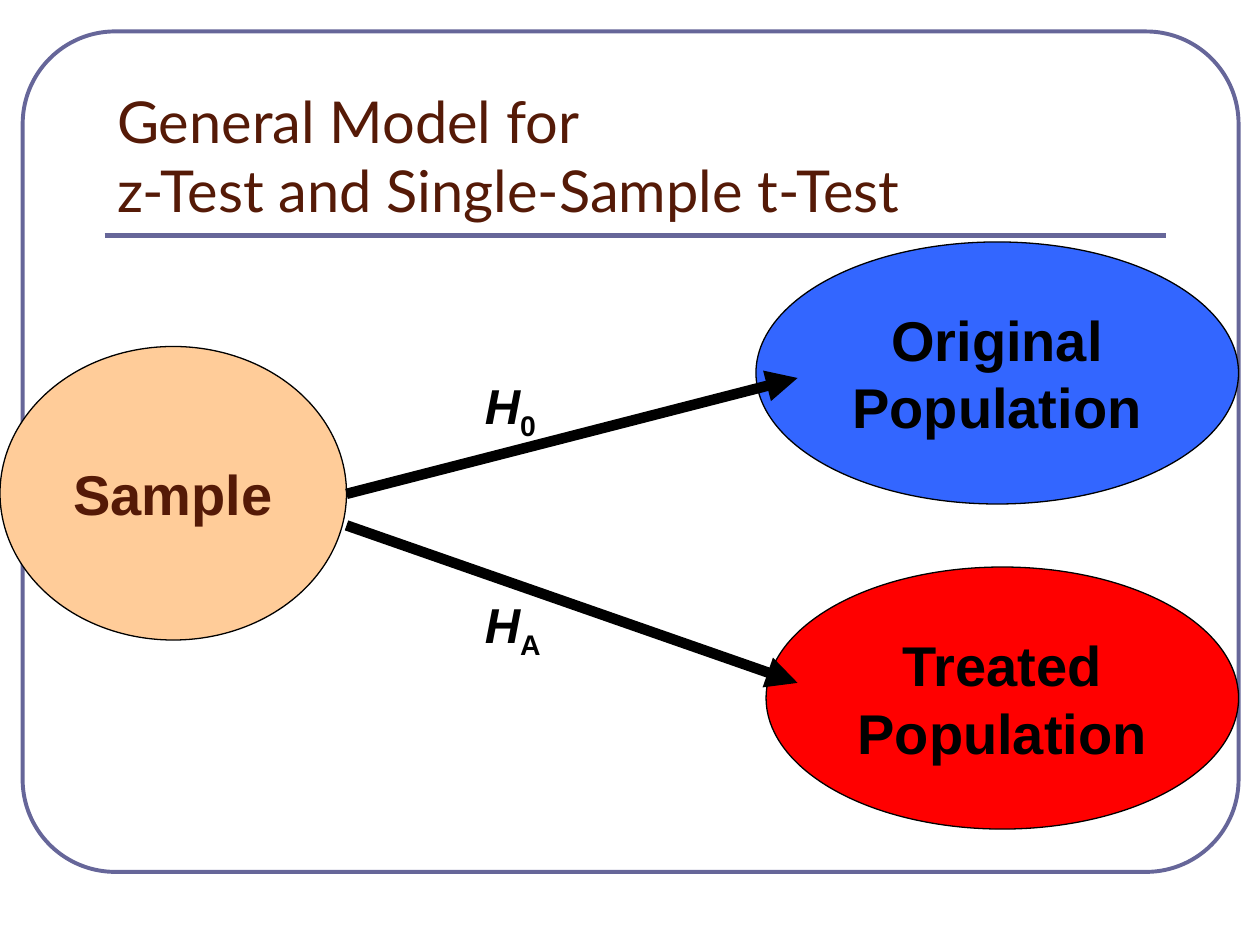
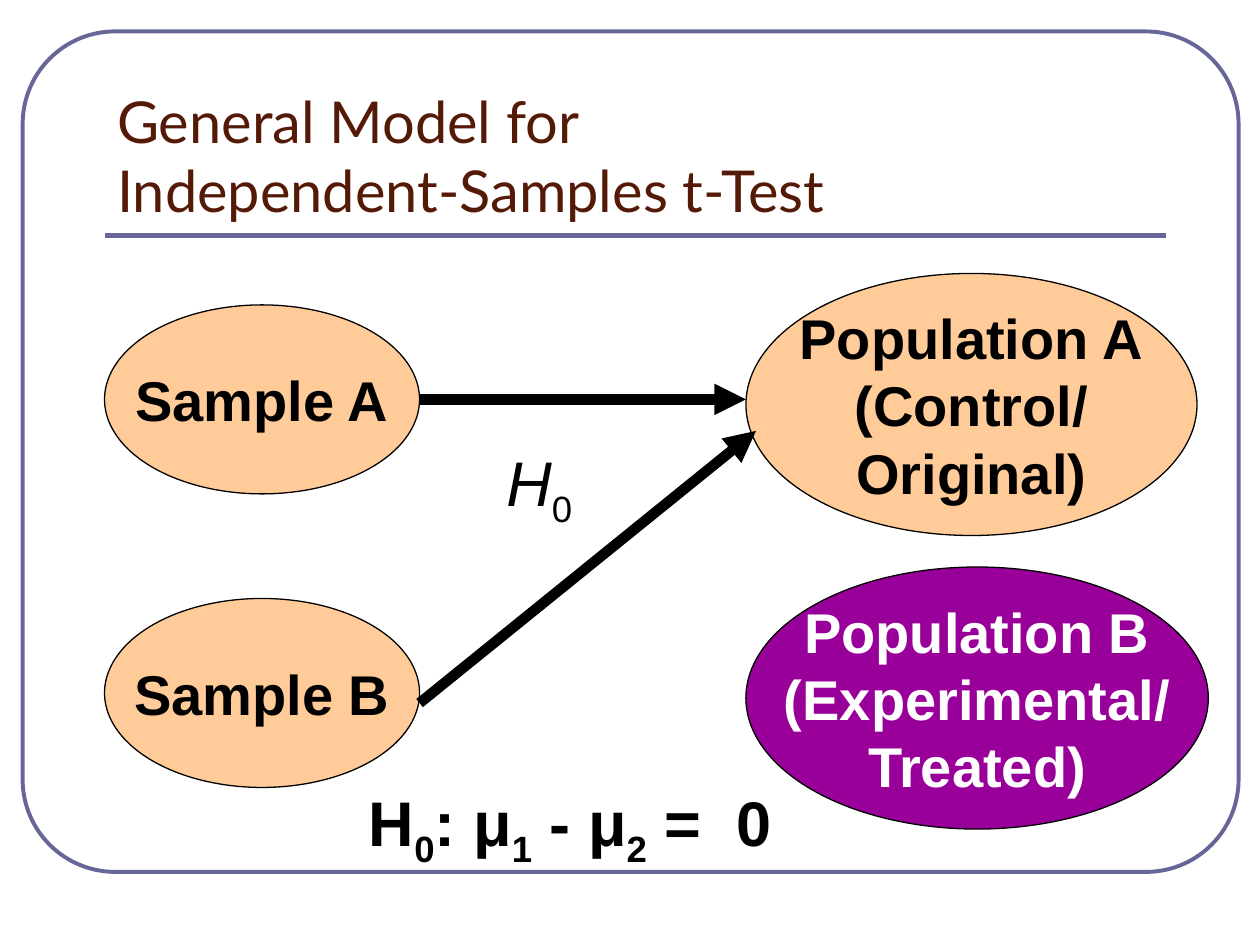
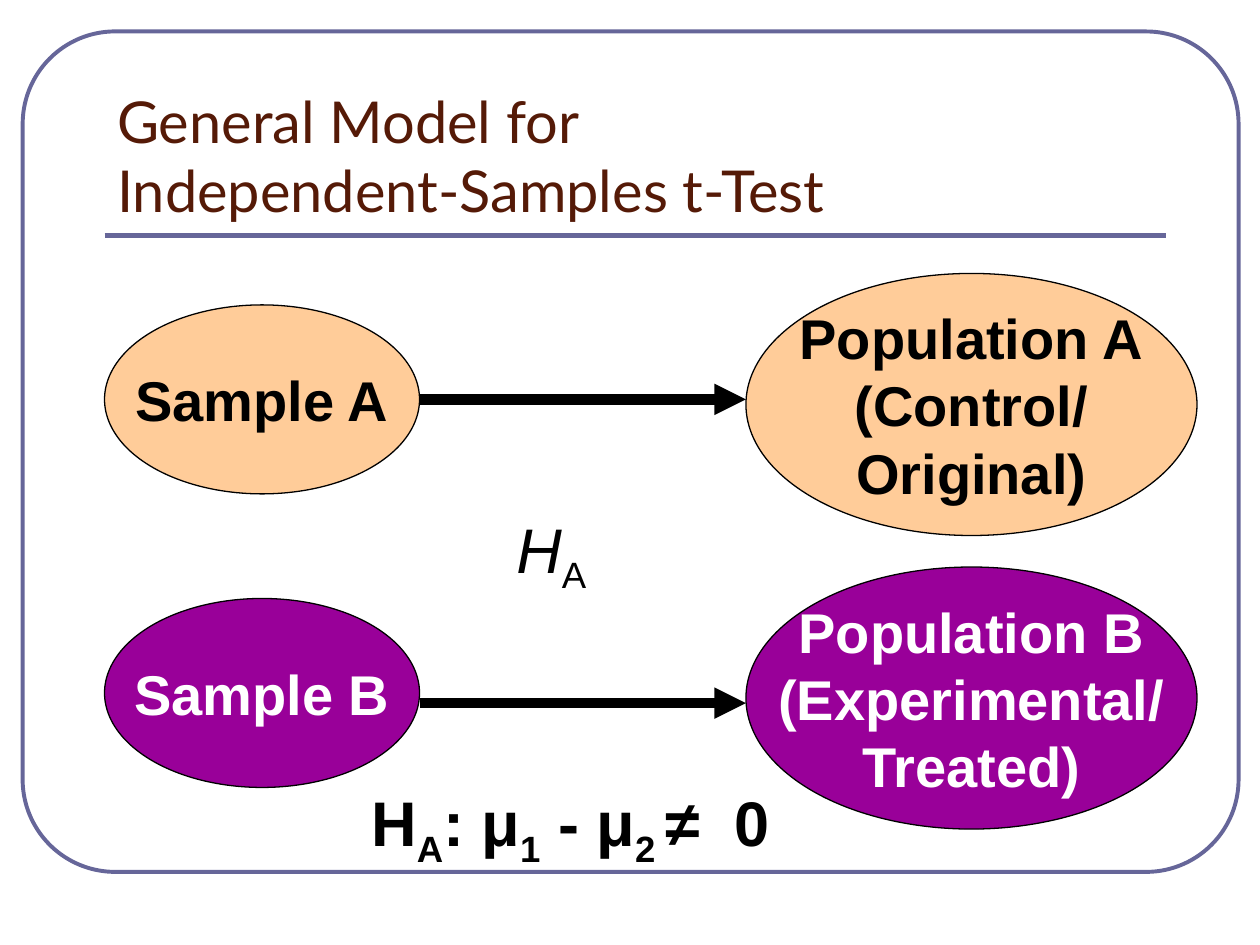
"""Build three slides on the general models behind z-tests and t-tests."""
import dataclasses

import lxml.etree
import pptx
import pptx.dml.color
import pptx.enum.shapes
import pptx.enum.text
import pptx.oxml.ns
import pptx.util

Inches = pptx.util.Inches
Pt = pptx.util.Pt
Align = pptx.enum.text.PP_ALIGN
Anchor = pptx.enum.text.MSO_ANCHOR
Shape = pptx.enum.shapes.MSO_SHAPE
qn = pptx.oxml.ns.qn


@dataclasses.dataclass(frozen=True)
class Theme:
    """Colours, fonts, type sizes and line widths of the deck."""
    ink: str = "000000"
    white: str = "FFFFFF"
    brown: str = "551A07"
    slate: str = "666699"
    peach: str = "FFCC99"
    blue: str = "3366FF"
    red: str = "FF0000"
    purple: str = "990099"
    head: str = "Lato"
    body: str = "Arial"
    title: int = 33
    node: int = 32
    large: int = 36
    small: int = 28
    thin: float = 0.75
    edge: float = 2.25
    rule: float = 3
    arrow: float = 6


def rgb(code):
    """Turn a hex code into a colour."""
    return pptx.dml.color.RGBColor.from_string(code)


class Deck:
    """Hold the theme, the file and the current slide."""

    def __init__(self, theme):
        """Start an empty 10 by 7.5 inch file."""
        self.theme = theme
        self.file = pptx.Presentation()
        self.file.slide_width = Inches(10)
        self.file.slide_height = Inches(7.5)
        self.slide = None

    def style(self, para, size, color, face=None, bold=None):
        """Set the font of a paragraph."""
        font = para.font
        font.name = face or self.theme.body
        font.size = Pt(size)
        font.bold = bold
        font.color.rgb = rgb(color)

    def page(self, title):
        """Add a slide with its frame, title and rule."""
        look = self.theme
        self.slide = self.file.slides.add_slide(self.file.slide_layouts[5])
        self.frame()
        self.line((0.83, 1.87), (9.25, 1.87), look.slate, look.rule)
        head = self.slide.shapes.title
        head.left, head.top = Inches(0.83), Inches(0.58)
        head.width, head.height = Inches(8.42), Inches(1.25)
        text = head.text_frame
        text.auto_size = pptx.enum.text.MSO_AUTO_SIZE.NONE
        text.vertical_anchor = Anchor.BOTTOM
        text.text = title
        para = text.paragraphs[0]
        para.alignment = Align.LEFT
        self.style(para, look.title, look.brown, look.head)

    def shape(self, kind, box, line, width):
        """Add an unfilled shape with a plain outline."""
        item = self.slide.shapes.add_shape(kind, *map(Inches, box))
        item.shadow.inherit = False
        item.fill.background()
        item.line.color.rgb = rgb(line)
        item.line.width = Pt(width)
        return item

    def frame(self):
        """Draw the rounded border around the slide."""
        look = self.theme
        item = self.shape(Shape.ROUNDED_RECTANGLE, (0.18, 0.25, 9.65, 6.67),
                          look.slate, look.edge)
        item.adjustments[0] = 0.11

    def oval(self, text, box, fill, color):
        """Add a filled ellipse with centred bold lines of text."""
        look = self.theme
        item = self.shape(Shape.OVAL, box, look.ink, look.thin)
        item.fill.solid()
        item.fill.fore_color.rgb = rgb(fill)
        frame = item.text_frame
        frame.word_wrap = False
        frame.vertical_anchor = Anchor.MIDDLE
        frame.text = text
        for para in frame.paragraphs:
            para.alignment = Align.CENTER
            self.style(para, look.node, color, bold=True)

    def math(self, parts, box, size, bold=False, slant=False, gap=0):
        """Add a text box whose every second part is a subscript."""
        item = self.slide.shapes.add_textbox(*map(Inches, box))
        item.text_frame.word_wrap = True
        para = item.text_frame.paragraphs[0]
        para.space_before = Pt(gap)
        self.style(para, size, self.theme.ink, bold=bold)
        for rank, part in enumerate(parts):
            run = para.add_run()
            run.text = part
            if rank % 2:
                run.font._element.set("baseline", "-25000")
            elif slant:
                run.font.italic = True
        return para

    def claim(self, parts, box, align):
        """Write a hypothesis under the ovals."""
        para = self.math(parts, box, self.theme.large, bold=True, gap=9)
        para.alignment = align
        props = para._p.get_or_add_pPr()
        props.set("marL", str(Inches(0.38)))
        props.set("indent", str(Inches(-0.38)))

    def line(self, start, end, color, width):
        """Draw a straight line without a shadow."""
        item = self.slide.shapes.add_connector(
            pptx.enum.shapes.MSO_CONNECTOR.STRAIGHT,
            *map(Inches, start + end))
        item.line.color.rgb = rgb(color)
        item.line.width = Pt(width)
        lxml.etree.SubElement(item._element.spPr, qn("a:effectLst"))
        return item

    def arrow(self, start, end):
        """Draw a heavy line with a triangle at its end."""
        item = self.line(start, end, self.theme.ink, self.theme.arrow)
        lxml.etree.SubElement(item.line._get_or_add_ln(), qn("a:tailEnd"),
                              type="triangle")


def single(deck):
    """Build the slide on one sample and two populations."""
    look = deck.theme
    deck.page("General Model for \vz-Test and Single-Sample t-Test")
    deck.oval("Sample", (0, 2.75, 2.75, 2.33), look.peach, look.brown)
    deck.oval("Original\nPopulation", (6, 1.92, 3.83, 2.08),
              look.blue, look.ink)
    deck.oval("Treated\nPopulation", (6.08, 4.5, 3.75, 2.08),
              look.red, look.ink)
    for sub, top in (("0", 2.93), ("A", 4.67)):
        deck.math(("H", sub), (3.75, top, 0.75, 0.63), look.small,
                  bold=True, slant=True, gap=17.5)
    deck.arrow((2.75, 3.92), (6.33, 3))
    deck.arrow((2.75, 4.17), (6.33, 5.42))


def paired(deck, fill, color, width, goal):
    """Build a two-sample slide; fill and color style sample B."""
    look = deck.theme
    deck.page("General Model for \vIndependent-Samples t-Test")
    deck.oval("Sample A", (0.83, 2.42, 2.5, 1.5), look.peach, look.ink)
    deck.oval("Sample B", (0.83, 4.75, 2.5, 1.5), fill, color)
    deck.oval("Population A\n(Control/\nOriginal)",
              (5.92, 2.17, 3.58, 2.08), look.peach, look.ink)
    deck.oval("Population B\n(Experimental/\nTreated)",
              (5.92, 4.5, width, 2.08), look.purple, look.white)
    deck.arrow((3.33, 3.17), (5.92, 3.17))
    deck.arrow((3.33, 5.58), goal)


def main():
    """Build and save the deck."""
    look = Theme()
    deck = Deck(look)
    single(deck)

    paired(deck, look.peach, look.ink, 3.67, (6, 3.42))
    deck.math(("H", "0"), (3.92, 3.47, 0.83, 0.79), look.large, slant=True)
    deck.claim(("H", "0", ": μ", "1", " - μ", "2", " =  0"),
               (2.83, 6.17, 4.33, 1.08), Align.LEFT)

    paired(deck, look.purple, look.white, 3.58, (5.92, 5.58))
    deck.math(("H", "A"), (4, 4, 0.83, 0.79), look.large, slant=True,
              gap=22.5)
    deck.claim((" H", "A", ": μ", "1", " - μ", "2 ", "≠  0"),
               (0.92, 6.17, 7.08, 0.92), Align.CENTER)

    deck.file.save("out.pptx")


main()
